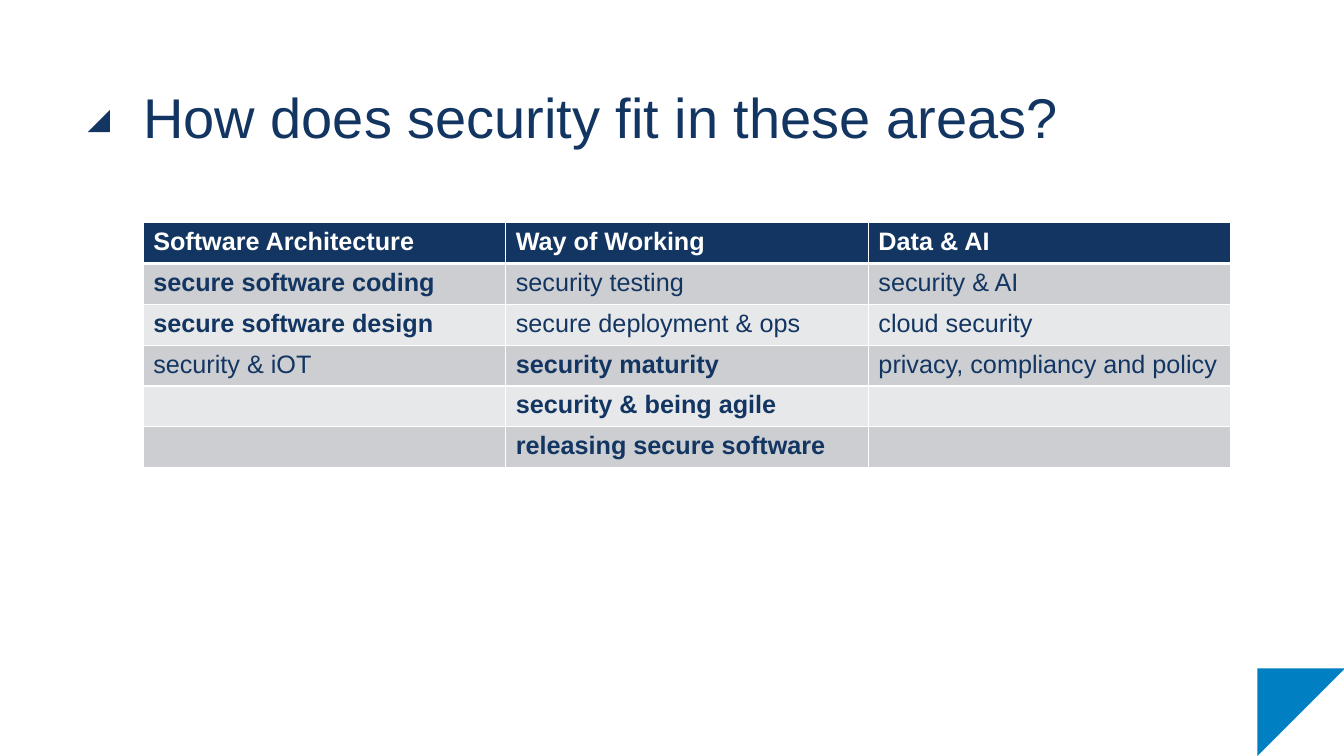
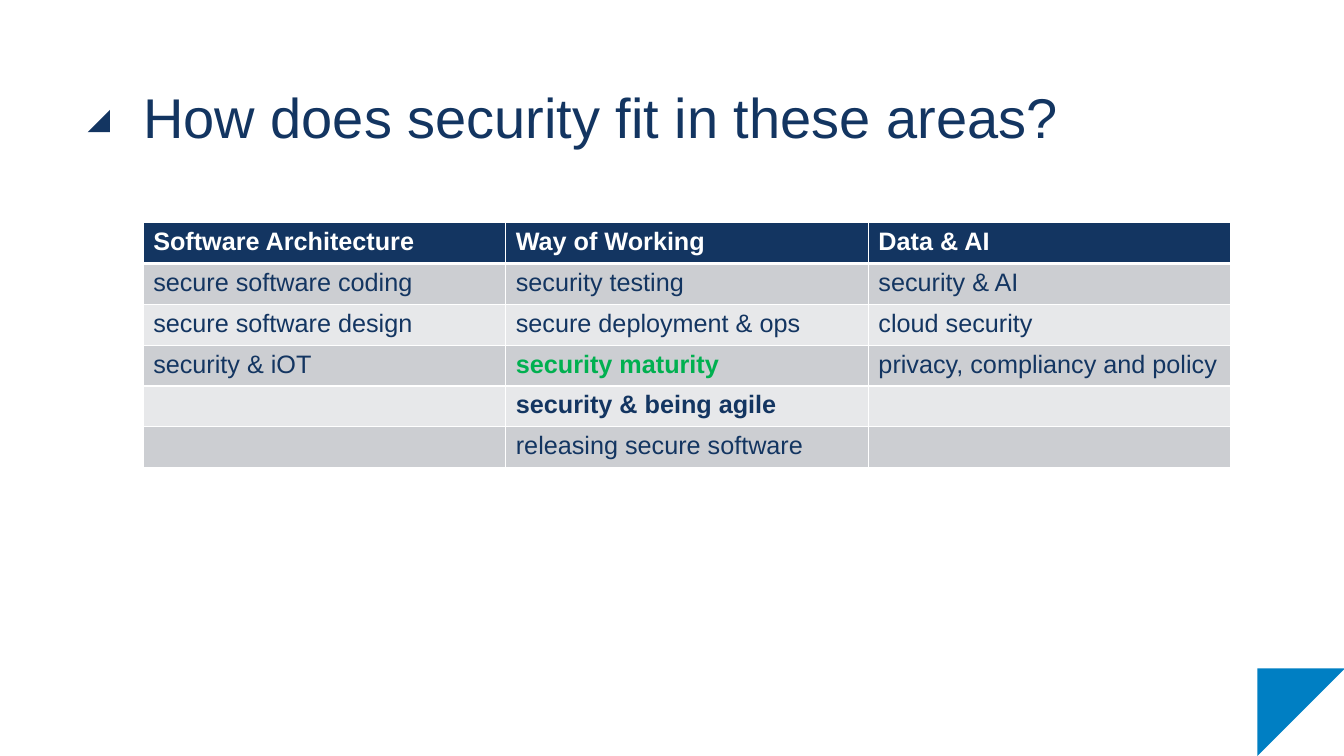
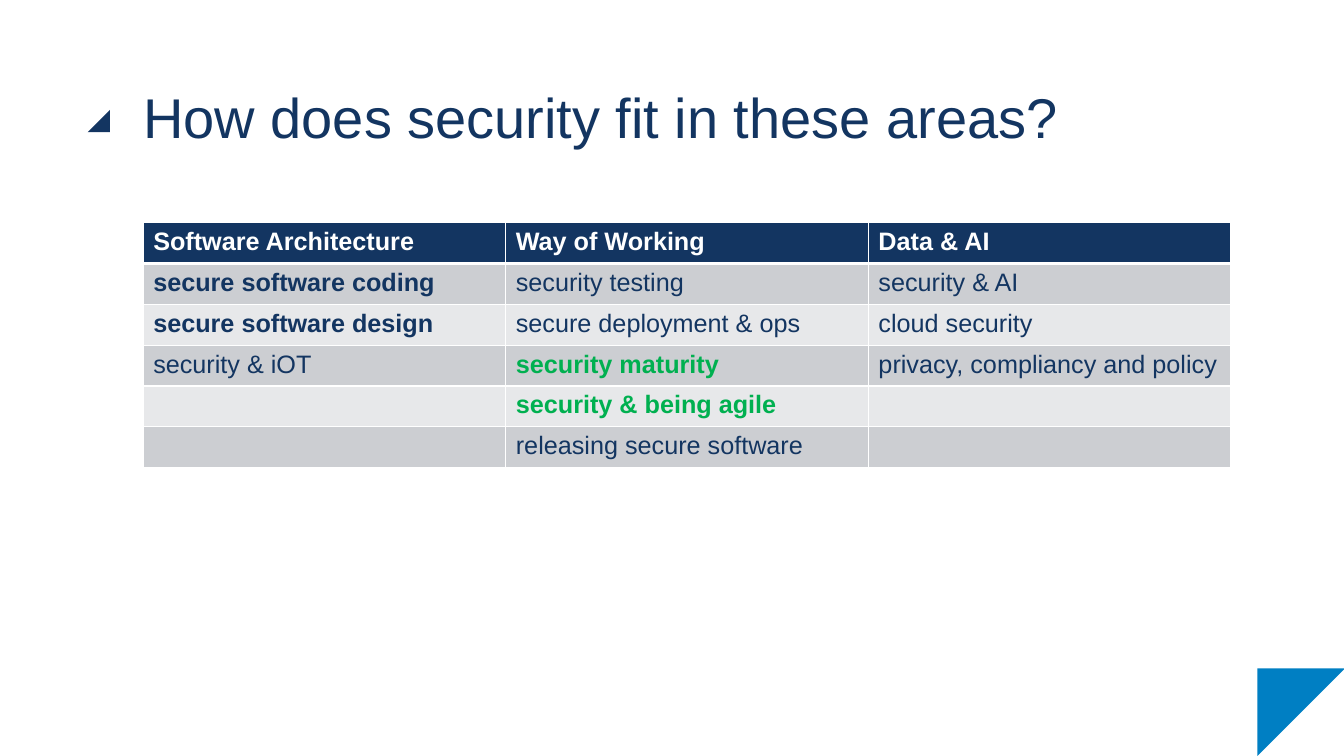
import lxml.etree
import pptx
import pptx.dml.color
import pptx.enum.shapes
import pptx.enum.text
import pptx.oxml.ns
import pptx.util

Inches = pptx.util.Inches
COLORS = {
    "navy": "133561",
    "blue": "007FC3",
    "green": "00B050",
    "white": "FFFFFF",
    "band_dark": "CCCED2",
    "band_light": "E7E8EA",
}
FONT = "Arial"
LEFT, WIDTH = 1.42, 10.79

AREAS = [
    ("Software Architecture", "Way of Working", "Data & AI"),
    ("secure software coding", "security testing", "security & AI"),
    ("secure software design", "secure deployment & ops", "cloud security"),
    ("security & iOT", "security maturity", "privacy, compliancy and policy"),
    ("", "security & being agile", ""),
    ("", "releasing secure software", ""),
]
# One entry per slide: topics in bold, topics in bold green
HIGHLIGHTS = [
    (
        {"secure software coding", "secure software design", "security maturity",
         "security & being agile", "releasing secure software"},
        set(),
    ),
    ({"security & being agile"}, {"security maturity"}),
    (
        {"secure software coding", "secure software design"},
        {"security maturity", "security & being agile"},
    ),
]


def write(frame, text, size=18, color="navy", bold=False, line_spacing=1.0):
    paragraph = frame.paragraphs[0]
    paragraph.line_spacing = line_spacing
    run = paragraph.add_run()
    run.text = text
    run.font.name = FONT
    run.font.size = pptx.util.Pt(size)
    run.font.bold = bold
    run.font.color.rgb = pptx.dml.color.RGBColor.from_string(COLORS[color])


def set_borders(cell, **widths):
    """Draw white cell borders; widths in points for L, R, T and B."""
    properties = cell._tc.get_or_add_tcPr()
    for index, side in enumerate("LRTB"):
        line = lxml.etree.Element(
            pptx.oxml.ns.qn(f"a:ln{side}"), w=str(pptx.util.Pt(widths.get(side, 1)))
        )
        fill = lxml.etree.SubElement(line, pptx.oxml.ns.qn("a:solidFill"))
        lxml.etree.SubElement(fill, pptx.oxml.ns.qn("a:srgbClr"), val=COLORS["white"])
        properties.insert(index, line)


presentation = pptx.Presentation()
presentation.slide_width = Inches(13.33)
presentation.slide_height = Inches(7.5)

# Shared layout: title position and the two corner triangles
layout = presentation.slide_layouts.get_by_name("Title Only")
title_area = layout.placeholders[0]
title_area.left, title_area.top = Inches(LEFT), Inches(0.79)
title_area.width, title_area.height = Inches(WIDTH), Inches(1.42)

slides = [presentation.slides.add_slide(layout) for _ in HIGHLIGHTS]

for left, top, side, color, rotation, flipped in [
    (0.87, 1.09, 0.22, "navy", 0, True),
    (12.47, 6.63, 0.87, "blue", 90, False),
]:
    triangle = slides[0].shapes.add_shape(
        pptx.enum.shapes.MSO_SHAPE.RIGHT_TRIANGLE,
        Inches(left), Inches(top), Inches(side), Inches(side),
    )
    triangle.shadow.inherit = False
    triangle.fill.solid()
    triangle.fill.fore_color.rgb = pptx.dml.color.RGBColor.from_string(COLORS[color])
    triangle.line.fill.background()
    triangle.rotation = rotation
    if flipped:
        triangle.element.spPr.xfrm.set("flipH", "1")
    layout.shapes.element.append(triangle.element)

for slide, (bold_topics, green_topics) in zip(slides, HIGHLIGHTS):
    title = slide.shapes.title.text_frame
    title.margin_left = title.margin_right = title.margin_top = title.margin_bottom = 0
    title.vertical_anchor = pptx.enum.text.MSO_ANCHOR.TOP
    title.auto_size = pptx.enum.text.MSO_AUTO_SIZE.NONE
    title.word_wrap = True
    title.paragraphs[0].alignment = pptx.enum.text.PP_ALIGN.LEFT
    write(title, "How does security fit in these areas?", size=40, line_spacing=1.05)

    areas_table = slide.shapes.add_table(
        len(AREAS), len(AREAS[0]), Inches(LEFT), Inches(2.21), Inches(WIDTH), Inches(2.43)
    ).table
    for row, topics in enumerate(AREAS):
        is_header = row == 0
        band = "navy" if is_header else ("band_light", "band_dark")[row % 2]
        for column, topic in enumerate(topics):
            cell = areas_table.cell(row, column)
            cell.fill.solid()
            cell.fill.fore_color.rgb = pptx.dml.color.RGBColor.from_string(COLORS[band])
            set_borders(cell, B=3 if is_header else 1, T=3 if row == 1 else 1)
            if topic:
                is_green = topic in green_topics
                color = "white" if is_header else "green" if is_green else "navy"
                bold = is_header or is_green or topic in bold_topics
                write(cell.text_frame, topic, color=color, bold=bold)

presentation.save("out.pptx")
